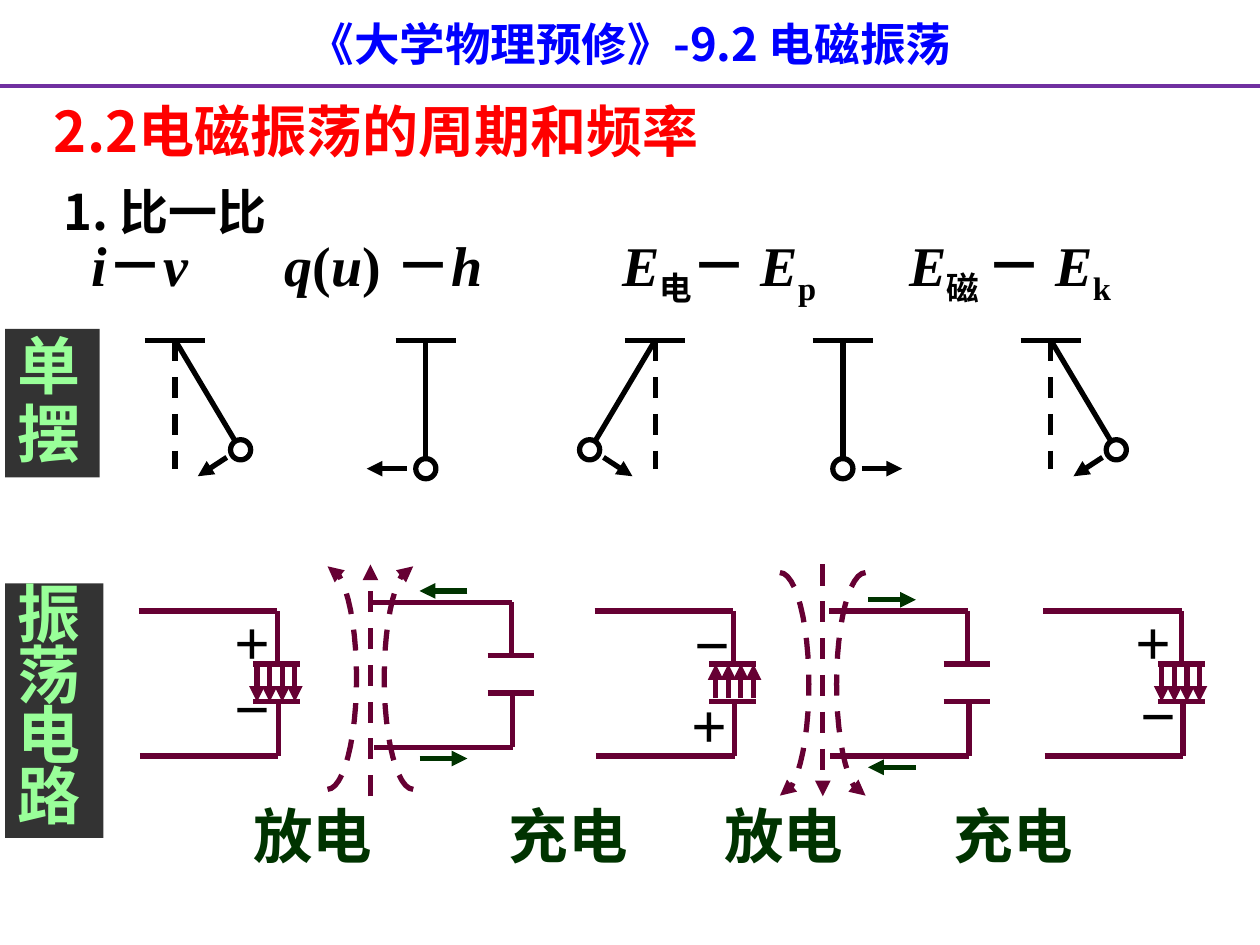
from math import cos, pi, sin

from lxml import etree
from pptx import Presentation
from pptx.dml.color import RGBColor
from pptx.enum.dml import MSO_LINE
from pptx.enum.shapes import MSO_CONNECTOR, MSO_SHAPE
from pptx.enum.text import MSO_ANCHOR, PP_ALIGN
from pptx.oxml.ns import qn
from pptx.util import Cm, Pt

STRAIGHT = MSO_CONNECTOR.STRAIGHT
RECTANGLE, OVAL = MSO_SHAPE.RECTANGLE, MSO_SHAPE.OVAL
DASH = MSO_LINE.DASH
TOP, MIDDLE = MSO_ANCHOR.TOP, MSO_ANCHOR.MIDDLE
LEFT, CENTER = PP_ALIGN.LEFT, PP_ALIGN.CENTER
SANS, SERIF = "Noto Sans CJK SC", "Times New Roman"
BLACK, PLUM, GREEN = "000000", "660033", "003300"


def inch(value):
    """Return a length measured in inches."""
    return Cm(value * 2.54)


def color(value):
    """Return the colour of a hex string."""
    return RGBColor.from_string(value)


def style_line(shape, line_color, width=3, dashed=False, arrow=False):
    """Set the colour, width, dash and end arrow of an outline."""
    shape.line.color.rgb = color(line_color)
    shape.line.width = Pt(width)
    if dashed:
        shape.line.dash_style = DASH
    if arrow:
        etree.SubElement(shape.line._get_or_add_ln(), qn("a:tailEnd"), type="triangle")


def add_line(slide, x1, y1, x2, y2, line_color, **style):
    """Draw a straight line between two points."""
    line = slide.shapes.add_connector(STRAIGHT, inch(x1), inch(y1), inch(x2), inch(y2))
    style_line(line, line_color, **style)
    etree.SubElement(line._element.spPr, qn("a:effectLst"))


def add_run(paragraph, text, size, font=SERIF, text_color=BLACK, italic=False, subscript=False):
    """Append a bold run to a paragraph."""
    run = paragraph.add_run()
    run.text = text
    run.font.size = Pt(size)
    run.font.bold = True
    run.font.italic = italic
    run.font.name = font
    run.font.color.rgb = color(text_color)
    properties = run.font._element
    etree.SubElement(properties, qn("a:ea"), typeface=SANS)
    if subscript:
        properties.set("baseline", "-25000")


def add_text(slide, box, text, size, wrap=True, anchor=TOP, align=LEFT, **style):
    """Place a text box with one paragraph and return the paragraph."""
    shape = slide.shapes.add_textbox(*map(inch, box))
    frame = shape.text_frame
    frame.word_wrap = wrap
    frame.vertical_anchor = anchor
    paragraph = frame.paragraphs[0]
    paragraph.alignment = align
    if text:
        add_run(paragraph, text, size, **style)
    return paragraph


def add_block(slide, kind, box, fill=None):
    """Draw a shape without outline or shadow and return it."""
    shape = slide.shapes.add_shape(kind, *map(inch, box))
    shape.shadow.inherit = False
    shape.line.fill.background()
    if fill:
        shape.fill.solid()
        shape.fill.fore_color.rgb = color(fill)
    else:
        shape.fill.background()
    return shape


def add_label(slide, box, text, spacing):
    """Draw a dark label whose characters run downwards."""
    frame = add_block(slide, RECTANGLE, box, "333333").text_frame
    frame.word_wrap = True
    frame.vertical_anchor = TOP
    paragraph = frame.paragraphs[0]
    paragraph.alignment = LEFT
    paragraph.line_spacing = spacing
    add_run(paragraph, text, 36, text_color="99FF99")


def add_heading(slide):
    """Place the course title, rule and section headings."""
    add_text(slide, (0, 0.08, 10, 0.54), "《大学物理预修》-9.2 电磁振荡", 26,
             align=CENTER, font=SANS, text_color="0000FF")
    add_line(slide, 0, 0.68, 10, 0.68, "7030A0", width=2.25)
    add_text(slide, (0.33, 0.68, 7.75, 0.71), "2.2电磁振荡的周期和频率", 32,
             anchor=MIDDLE, font=SANS, text_color="FF0000")
    add_text(slide, (0.41, 1.39, 2.17, 0.57), "1. 比一比", 28, font=SANS)


def add_analogies(slide, left, top):
    """Write the four pairs of matching quantities on tab stops."""
    paragraph = add_text(slide, (left, top, 8.86, 0.64), "", 32)
    tabs = etree.SubElement(paragraph._p.get_or_add_pPr(), qn("a:tabLst"))
    for position in (1.53, 3.06, 4.21, 6.49):
        etree.SubElement(tabs, qn("a:tab"), pos=str(inch(position)), algn="l")
    parts = [("i", "i"), ("－", ""), ("v\tq", "i"), ("(", ""), ("u", "i"), (") －", ""),
             ("h\tE", "i"), ("电", "s"), ("－ ", ""), ("E", "i"), ("p", "s"), ("\tE", "i"),
             ("磁 ", "s"), ("－ ", ""), ("E", "i"), ("k", "s")]
    for text, kind in parts:
        add_run(paragraph, text, 32, italic=kind == "i", subscript=kind == "s")


def add_pendulum(slide, x, y, side, direction):
    """Draw a pendulum hung at a pivot, to the left (-1), middle (0) or right (1)."""
    add_line(slide, x - 0.24, y, x + 0.24, y, BLACK)
    if side:
        add_line(slide, x, y, x, y + 1.02, BLACK, dashed=True)
        rope, bob = (0.47 * side, 0.79), (0.52 * side, 0.87)
        arrow = (0.41 * side, 0.93, 0.18 * side, 1.08)
    else:
        rope, bob = (0, 0.93), (0, 1.02)
        arrow = (0.15 * direction, 1.02, 0.47 * direction, 1.02)
    add_line(slide, x, y, x + rope[0], y + rope[1], BLACK)
    ball = add_block(slide, OVAL, (x + bob[0] - 0.08, y + bob[1] - 0.08, 0.16, 0.16))
    style_line(ball, BLACK)
    x1, y1, x2, y2 = arrow
    add_line(slide, x + x1, y + y1, x + x2, y + y2, BLACK, arrow=True)


def add_circuit(slide, left, top):
    """Draw the wires and capacitor plates of one circuit."""
    for x1, y1, x2, y2 in [(0.91, 0.42, 1.28, 0.42), (0.91, 0.72, 1.28, 0.72),
                           (0, 0, 1.1, 0), (0.01, 1.15, 1.11, 1.15),
                           (1.1, 0, 1.1, 0.41), (1.11, 0.73, 1.11, 1.15)]:
        add_line(slide, left + x1, top + y1, left + x2, top + y2, PLUM)


def add_charge(slide, left, top, downward, plus, minus):
    """Draw the electric field between the plates and the signs beside them."""
    start, end = (0.43, 0.72) if downward else (0.69, 0.42)
    first = 0.94 if downward else 0.96
    for index in range(4):
        x = left + first + 0.1 * index
        add_line(slide, x, top + start, x, top + end, PLUM, arrow=True)
    for sign, (x, y) in (("+", plus), ("−", minus)):
        add_text(slide, (left + x, top + y, 0.49, 0.7), sign, 36, wrap=False)


def add_magnetic_field(slide, center, top, upward):
    """Draw a dashed axis and two bowed field lines."""
    start, end = (top + 1.84, top) if upward else (top, top + 1.84)
    add_line(slide, center, start, center, end, PLUM, dashed=True, arrow=True)
    middle = top + (0.9 if upward else 0.95)
    half = 0.885 if upward else -0.885
    for side in (-1, 1):
        points = [(inch(center + side * (0.34 - 0.23 * sin(pi * step / 24))),
                   inch(middle + half * cos(pi * step / 24))) for step in range(25)]
        builder = slide.shapes.build_freeform(*points[0], scale=1.0)
        builder.add_line_segments(points[1:], close=False)
        curve = builder.convert_to_shape()
        curve.shadow.inherit = False
        curve.fill.background()
        style_line(curve, PLUM, dashed=True, arrow=True)


def add_current(slide, left, top, clockwise):
    """Draw the current arrows above and below a circuit."""
    for y, rightward in ((top - 0.09, clockwise), (top + 1.24, not clockwise)):
        ends = (left, left + 0.38) if rightward else (left + 0.38, left)
        add_line(slide, ends[0], y, ends[1], y, GREEN, arrow=True)


def add_oscillation(slide, left, top):
    """Draw the five stages of the oscillating circuit and their captions."""
    add_block(slide, RECTANGLE, (left, top, 9.05, 2.81), "FFFFFF")
    wire = top + 0.57
    stages = [(1.1, wire), (2.96, wire - 0.07), (4.72, wire), (6.58, wire), (8.28, wire)]
    for stage in stages:
        add_circuit(slide, *stage)
    add_charge(slide, *stages[0], True, (0.66, -0.12), (0.66, 0.41))
    add_charge(slide, *stages[2], False, (0.67, 0.54), (0.69, -0.1))
    add_charge(slide, *stages[4], True, (0.63, -0.12), (0.67, 0.46))
    add_magnetic_field(slide, 2.94, top + 0.2, True)
    add_magnetic_field(slide, 6.53, top + 0.2, False)
    add_current(slide, 3.33, wire - 0.07, False)
    add_current(slide, 6.89, wire, True)
    for x, caption in ((1.91, "放电"), (3.94, "充电"), (5.65, "放电"), (7.47, "充电")):
        add_text(slide, (x, top + 2.01, 1.15, 0.67), caption, 34, wrap=False, text_color=GREEN)


def main():
    """Build and save the slide."""
    presentation = Presentation()
    presentation.slide_width, presentation.slide_height = inch(10), inch(7.5)
    slide = presentation.slides.add_slide(presentation.slide_layouts[6])
    add_heading(slide)
    add_analogies(slide, 0.63, 1.78)
    add_label(slide, (0.04, 4.63, 0.9, 2.02), "振荡电路", 0.8)
    add_oscillation(slide, 0.82, 4.28)
    for x, side, direction in ((1.39, 1, -1), (3.38, 0, -1), (5.2, -1, 1), (6.69, 0, 1), (8.34, 1, -1)):
        add_pendulum(slide, x, 2.7, side, direction)
    add_label(slide, (0.04, 2.61, 0.75, 1.18), "单摆", 0.9)
    presentation.save("out.pptx")


if __name__ == "__main__":
    main()
